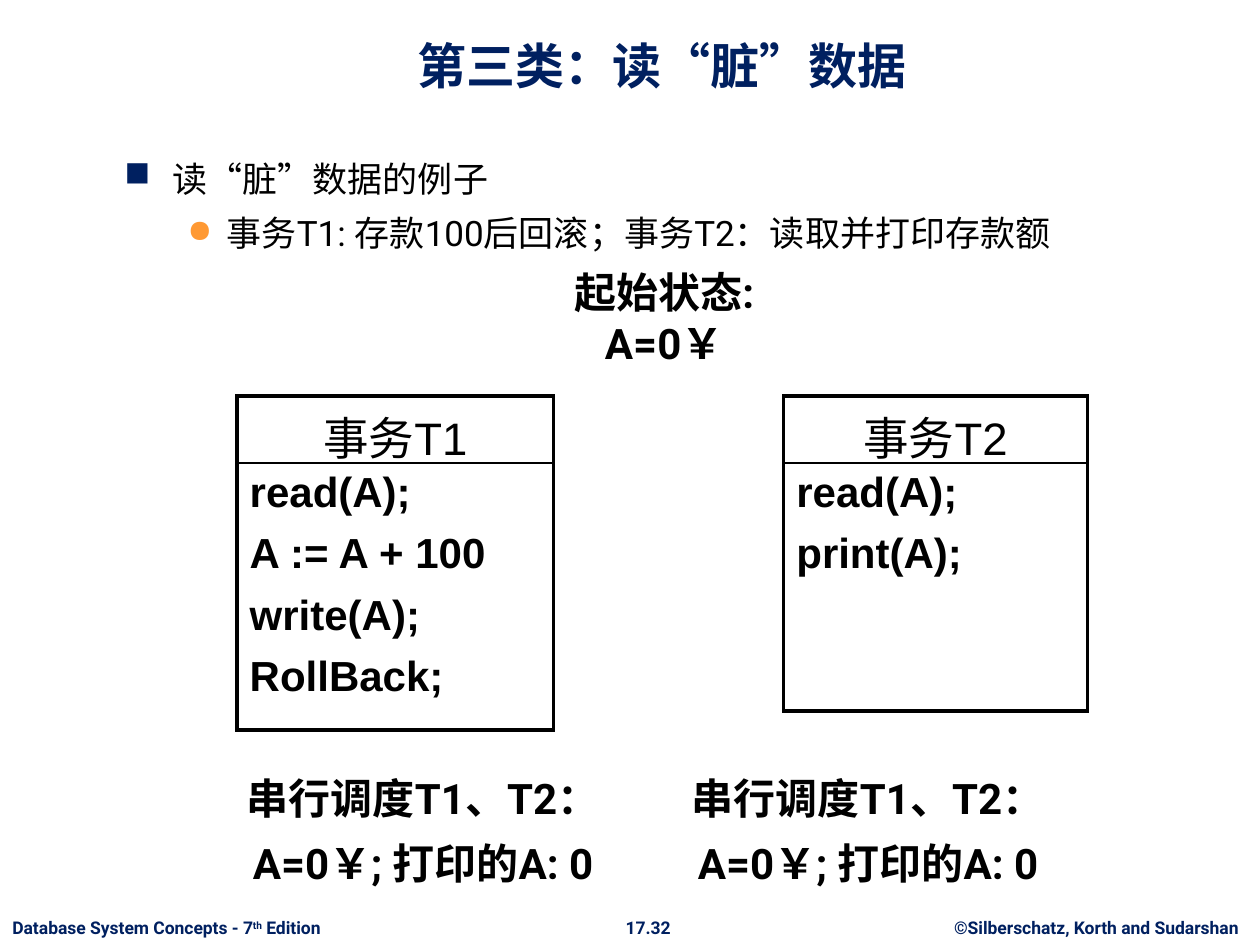
from dataclasses import dataclass, field
from typing import Optional

import lxml.etree
import pptx
import pptx.dml.color
import pptx.enum.shapes
import pptx.enum.text
import pptx.oxml.ns
import pptx.util

Cm = pptx.util.Cm
Pt = pptx.util.Pt
ALIGN = pptx.enum.text.PP_ALIGN
ANCHOR = pptx.enum.text.MSO_ANCHOR

NAVY, BLACK, WHITE, ORANGE = "002060", "000000", "FFFFFF", "FF9933"
FOOTER = {"name": "Roboto", "size": Pt(10), "bold": True, "color": NAVY}
TITLE = FOOTER | {"size": Pt(28)}
BODY = {"name": "Roboto", "size": Pt(20), "bold": False, "color": BLACK}
STATE = BODY | {"size": Pt(24), "bold": True}
HEADER = {"name": "Arial", "size": Pt(26), "bold": False, "color": BLACK}
CODE = HEADER | {"size": Pt(24), "bold": True}
THICK, THIN = 2.25, 1


@dataclass
class Bullet:
    symbol: str
    color: str
    percent: int
    margin: float
    hanging: float


@dataclass
class Line:
    runs: list[str]
    bullet: Optional[Bullet] = None
    superscripts: set[int] = field(default_factory=set)


@dataclass
class Label:
    left: float
    top: float
    width: float
    height: float
    lines: list[Line]
    style: dict
    align: ALIGN = ALIGN.CENTER
    anchor: ANCHOR = ANCHOR.TOP
    wrap: bool = False


@dataclass
class Callout:
    label: Label
    adjustments: tuple[float, float, float]
    spacing: int


@dataclass
class Transaction:
    left: float
    width: float
    body_height: float
    title: str
    steps: list[str]


def rgb(value: str) -> pptx.dml.color.RGBColor:
    return pptx.dml.color.RGBColor.from_string(value)


def child(parent, tag: str, **attributes: str):
    element = lxml.etree.SubElement(parent, pptx.oxml.ns.qn(tag))
    for name, value in attributes.items():
        element.set(name, value)
    return element


def add_bullet(properties, bullet: Bullet) -> None:
    properties.set("marL", str(Cm(bullet.margin)))
    properties.set("indent", str(-Cm(bullet.hanging)))
    child(child(properties, "a:buClr"), "a:srgbClr", val=bullet.color)
    child(properties, "a:buSzPct", val=str(bullet.percent * 1000))
    child(properties, "a:buChar", char=bullet.symbol)


def apply_font(font, style: dict) -> None:
    for name, value in style.items():
        if name == "color":
            font.color.rgb = rgb(value)
        else:
            setattr(font, name, value)


def write_lines(frame, lines: list[Line], style: dict, align: ALIGN, spacing: int = 35) -> None:
    for index, line in enumerate(lines):
        paragraph = frame.add_paragraph() if index else frame.paragraphs[0]
        properties = paragraph._p.get_or_add_pPr()
        if index and spacing:
            child(child(properties, "a:spcBef"), "a:spcPct", val=str(spacing * 1000))
        if line.bullet:
            add_bullet(properties, line.bullet)
        paragraph.alignment = align
        for position, text in enumerate(line.runs):
            run = paragraph.add_run()
            run.text = text
            apply_font(run.font, style)
            if position in line.superscripts:
                run._r.get_or_add_rPr().set("baseline", "30000")


def fill_label(shape, label: Label, spacing: int = 35) -> None:
    frame = shape.text_frame
    frame.word_wrap = label.wrap
    frame.vertical_anchor = label.anchor
    write_lines(frame, label.lines, label.style, label.align, spacing)


def bounds(label: Label) -> list[int]:
    return [Cm(value) for value in (label.left, label.top, label.width, label.height)]


def add_label(slide, label: Label) -> None:
    fill_label(slide.shapes.add_textbox(*bounds(label)), label)


def add_callout(slide, callout: Callout) -> None:
    kind = pptx.enum.shapes.MSO_SHAPE.ROUNDED_RECTANGULAR_CALLOUT
    shape = slide.shapes.add_shape(kind, *bounds(callout.label))
    shape.shadow.inherit = False
    shape.fill.solid()
    shape.fill.fore_color.rgb = rgb(WHITE)
    shape.line.fill.background()
    for index, value in enumerate(callout.adjustments):
        shape.adjustments[index] = value
    fill_label(shape, callout.label, callout.spacing)


def set_borders(cell, widths: dict[str, float]) -> None:
    properties = cell._tc.get_or_add_tcPr()
    for side in ("L", "R", "T", "B"):
        line = child(properties, f"a:ln{side}", w=str(Pt(widths.get(side, THICK))))
        child(child(line, "a:solidFill"), "a:srgbClr", val=BLACK)


def add_transaction(slide, transaction: Transaction) -> None:
    heights = (1.35, transaction.body_height)
    table = slide.shapes.add_table(
        2, 1, Cm(transaction.left), Cm(7.98), Cm(transaction.width), Cm(sum(heights))
    ).table
    table.first_row = table.horz_banding = False
    contents = (
        ([transaction.title], HEADER, ALIGN.CENTER, {"B": THIN}),
        (transaction.steps, CODE, ALIGN.LEFT, {"T": THIN}),
    )
    for index, (texts, style, align, borders) in enumerate(contents):
        table.rows[index].height = Cm(heights[index])
        cell = table.cell(index, 0)
        set_borders(cell, borders)
        cell.fill.background()
        write_lines(cell.text_frame, [Line([text]) for text in texts], style, align)


def main() -> None:
    presentation = pptx.Presentation()
    presentation.slide_width, presentation.slide_height = Cm(25.4), Cm(19.05)
    slide = presentation.slides.add_slide(presentation.slide_layouts[6])

    square = Bullet("■", NAVY, 100, 0.97, 0.97)
    dot = Bullet("●", ORANGE, 90, 2.06, 0.79)
    edition = Line(["Database System Concepts - 7", "th", " Edition"], superscripts={1})
    body = [
        Line(["读“脏”数据的例子"], square),
        Line(["事务T1: 存款100后回滚；事务T2：读取并打印存款额"], dot),
    ]
    labels = [
        Label(18.8, 18.36, 6.6, 0.69, [Line(["©Silberschatz, Korth and Sudarshan"])], FOOTER),
        Label(12.34, 18.36, 1.45, 0.69, [Line(["17.32"])], FOOTER),
        Label(0, 18.36, 7.14, 0.69, [edition], FOOTER, ALIGN.LEFT),
        Label(2.13, 0.33, 22.43, 1.7, [Line(["第三类：读“脏”数据"])], TITLE,
              anchor=ANCHOR.BOTTOM, wrap=True),
        Label(2.26, 3.05, 21.29, 13.61, body, BODY, ALIGN.JUSTIFY, wrap=True),
    ]
    for label in labels:
        add_label(slide, label)

    steps = ["read(A);", "A := A + 100", "write(A);", "RollBack;"]
    add_transaction(slide, Transaction(15.8, 6.12, 5, "事务T2", ["read(A);", "print(A);"]))
    add_transaction(slide, Transaction(4.78, 6.38, 5.38, "事务T1", steps))

    start = [Line(["起始状态:"]), Line(["A=0￥"])]
    add_callout(slide, Callout(
        Label(10.9, 5.11, 4.98, 2.57, start, STATE, anchor=ANCHOR.MIDDLE), (0.11, -0.44, 0.17), 0))
    result = [Line(["串行调度T1、T2："]), Line(["A=0￥; 打印的A: 0"])]
    for left, tail in ((4.72, (0.03, -0.1, 0.17)), (13.69, (-0.14, -0.05, 0.17))):
        label = Label(left, 15.24, 7.62, 3, result, STATE, anchor=ANCHOR.MIDDLE)
        add_callout(slide, Callout(label, tail, 35))

    presentation.save("out.pptx")


if __name__ == "__main__":
    main()
